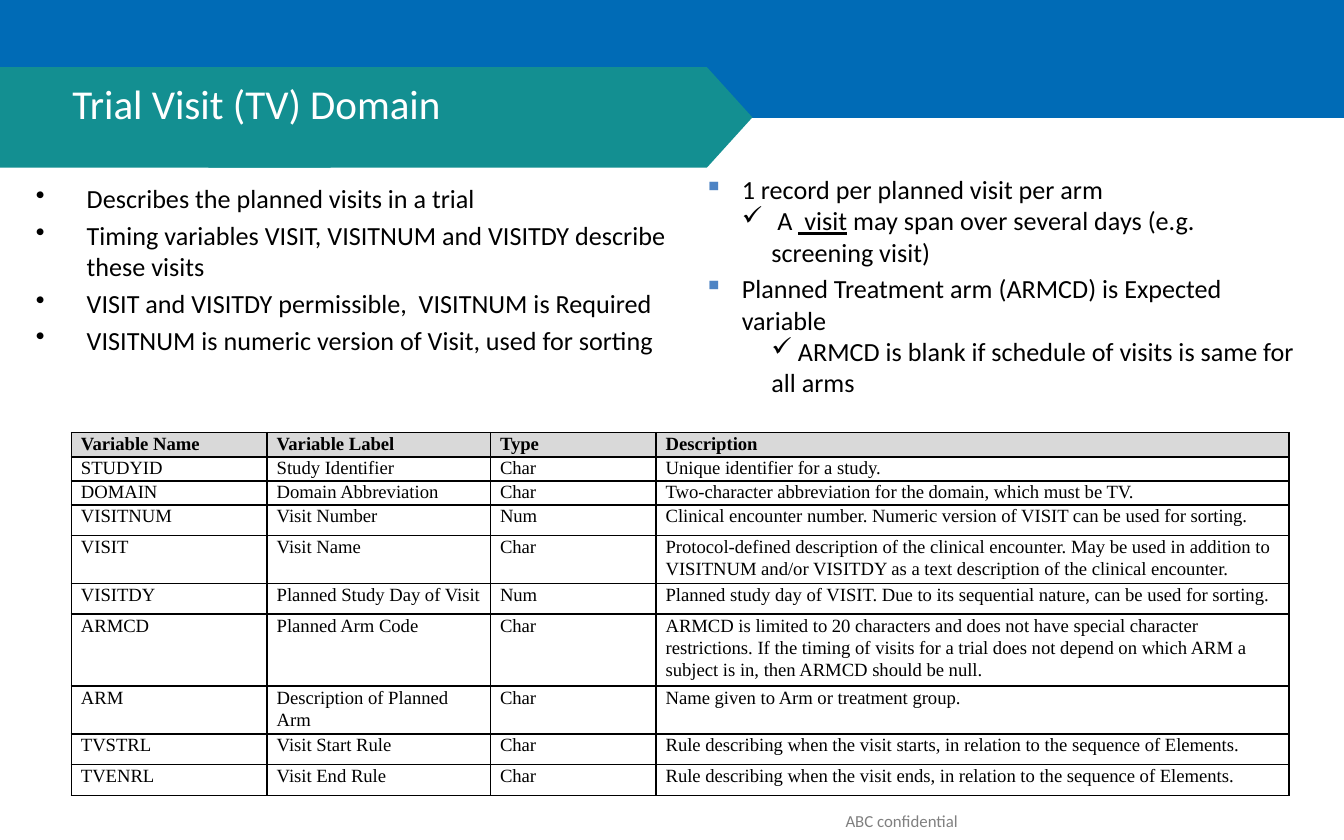
from lxml import etree
from pptx import Presentation
from pptx import util as u
from pptx.dml.color import RGBColor
from pptx.enum import shapes, text
from pptx.oxml import ns

BLUE = RGBColor(0x00, 0x6B, 0xB6)
TEAL = RGBColor(0x13, 0x8F, 0x91)
BULLET_BLUE = RGBColor(0x4E, 0x84, 0xC4)
HEADER_GREY = RGBColor(0xD9, 0xD9, 0xD9)
FOOTER_GREY = RGBColor(0x80, 0x80, 0x80)
WHITE = RGBColor(0xFF, 0xFF, 0xFF)
BLACK = RGBColor(0, 0, 0)

TITLE = {"name": "Calibri", "size": u.Pt(22), "color": WHITE}
BODY = {"name": "Calibri", "size": u.Pt(14), "color": BLACK}
FOOTER = {"name": "Calibri", "size": u.Pt(9), "color": FOOTER_GREY}
CELL = {"name": "Times New Roman", "size": u.Pt(10), "color": BLACK}

# Bullet styles: character, colour, left margin, first-line indent, space before
DOT = ("•", BLACK, 0.96, -0.96, 2.8)
SQUARE = ("▪", BULLET_BLUE, 0.71, -0.71, 2.8)
HANGING_TICK = ("✓", BLACK, 1.27, -0.56, 0)
INLINE_TICK = ("✓", BLACK, 1.27, 0, 0)

# Each paragraph: bullet style, then spans
VISIT_POINTS = [
    (DOT, ["Describes the planned visits in a trial"]),
    (DOT, ["Timing variables VISIT, VISITNUM and VISITDY describe these visits"]),
    (DOT, ["VISIT and VISITDY permissible,  VISITNUM is Required"]),
    (DOT, ["VISITNUM is numeric version of Visit, used for sorting"]),
]
UNDERLINED = " visit"
ARM_POINTS = [
    (SQUARE, ["1 record per planned visit per arm"]),
    (HANGING_TICK, [" A ", UNDERLINED, " may span over several days (e.g. screening visit)"]),
    (SQUARE, ["Planned Treatment arm (ARMCD) is Expected variable"]),
    (INLINE_TICK, [" ARMCD is blank if schedule of visits is same for all arms"]),
]

COLUMN_WIDTHS = [3.7, 4.22, 3.13, 11.96]
# Each row: height, then cell texts
VARIABLES = [
    (0.41, "Variable Name", "Variable Label", "Type", "Description"),
    (0.41, "STUDYID", "Study Identifier", "Char", "Unique identifier for a study."),
    (0.41, "DOMAIN", "Domain Abbreviation", "Char",
     "Two-character abbreviation for the domain, which must be TV."),
    (0.58, "VISITNUM", "Visit Number", "Num",
     "Clinical encounter number. Numeric version of VISIT can be used for sorting."),
    (0.89, "VISIT", "Visit Name", "Char",
     "Protocol-defined description of the clinical encounter. May be used in addition to "
     "VISITNUM and/or VISITDY as a text description of the clinical encounter."),
    (0.58, "VISITDY", "Planned Study Day of Visit", "Num",
     "Planned study day of VISIT. Due to its sequential nature, can be used for sorting."),
    (1.24, "ARMCD", "Planned Arm Code", "Char",
     "ARMCD is limited to 20 characters and does not have special character restrictions. "
     "If the timing of visits for a trial does not depend on which ARM a subject is in, "
     "then ARMCD should be null."),
    (0.83, "ARM", "Description of Planned Arm", "Char", "Name given to Arm or treatment group."),
    (0.58, "TVSTRL", "Visit Start Rule", "Char",
     "Rule describing when the visit starts, in relation to the sequence of Elements."),
    (0.58, "TVENRL", "Visit End Rule", "Char",
     "Rule describing when the visit ends, in relation to the sequence of Elements."),
]


def add_span(para, words, style, **extra):
    span = para.add_run()
    span.text = words
    for key, value in {**style, **extra}.items():
        if key == "color":
            span.font.color.rgb = value
        else:
            setattr(span.font, key, value)


def paint(shape, color):
    shape.shadow.inherit = False
    shape.fill.solid()
    shape.fill.fore_color.rgb = color
    shape.line.fill.background()


def add_band(page, left, top, width, height, color):
    band = page.shapes.add_shape(shapes.MSO_SHAPE.RECTANGLE,
                                 *map(u.Cm, (left, top, width, height)))
    paint(band, color)


def add_arrow_band(page, points, color):
    start, *rest = [(u.Cm(x), u.Cm(y)) for x, y in points]
    builder = page.shapes.build_freeform(*start)
    builder.add_line_segments(rest, close=True)
    paint(builder.convert_to_shape(), color)


def add_box(page, left, top, width, height):
    """Add an empty wrapping text box and return its text frame."""
    frame = page.shapes.add_textbox(*map(u.Cm, (left, top, width, height))).text_frame
    frame.word_wrap = True
    frame.vertical_anchor = text.MSO_ANCHOR.TOP
    return frame


def set_bullet(para, mark, color, margin, indent):
    properties = para._p.get_or_add_pPr()
    properties.set("marL", str(u.Cm(margin)))
    properties.set("indent", str(u.Cm(indent)))
    tint = etree.SubElement(properties, ns.qn("a:buClr"))
    etree.SubElement(tint, ns.qn("a:srgbClr"), val=str(color))
    etree.SubElement(properties, ns.qn("a:buChar"), char=mark)


def fill_bullets(frame, points):
    for index, (bullet, spans) in enumerate(points):
        para = frame.add_paragraph() if index else frame.paragraphs[0]
        *look, gap = bullet
        set_bullet(para, *look)
        para.space_before = u.Pt(gap if index else 0)
        for words in spans:
            add_span(para, words, BODY, underline=words == UNDERLINED)


def set_borders(cell):
    properties = cell._tc.get_or_add_tcPr()
    for side in ("lnL", "lnR", "lnT", "lnB"):
        line = etree.SubElement(properties, ns.qn("a:" + side), w=str(u.Pt(1)))
        fill = etree.SubElement(line, ns.qn("a:solidFill"))
        etree.SubElement(fill, ns.qn("a:srgbClr"), val=str(BLACK))


def fill_cell(cell, words, header):
    margins = {"margin_left": 0.18, "margin_right": 0.18, "margin_top": 0, "margin_bottom": 0}
    for key, value in margins.items():
        setattr(cell, key, u.Cm(value))
    set_borders(cell)
    if header:
        cell.fill.solid()
        cell.fill.fore_color.rgb = HEADER_GREY
    else:
        cell.fill.background()
    para = cell.text_frame.paragraphs[0]
    para.line_spacing = 1.07
    add_span(para, words, CELL, bold=header)


def add_variable_table(page, left, top):
    size = sum(COLUMN_WIDTHS), sum(row[0] for row in VARIABLES)
    table = page.shapes.add_table(len(VARIABLES), len(COLUMN_WIDTHS),
                                  *map(u.Cm, (left, top, *size))).table
    table.first_row = table.horz_banding = False
    for column, width in zip(table.columns, COLUMN_WIDTHS):
        column.width = u.Cm(width)
    for index, (height, *words) in enumerate(VARIABLES):
        table.rows[index].height = u.Cm(height)
        for cell, content in zip(table.rows[index].cells, words):
            fill_cell(cell, content, header=index == 0)


def main():
    deck = Presentation()
    deck.slide_width, deck.slide_height = u.Cm(25.4), u.Cm(15.88)
    page = deck.slides.add_slide(deck.slide_layouts[6])

    add_band(page, 0, 0, 25.4, 2.23, BLUE)
    add_band(page, 0, 1.27, 6.25, 1.9, TEAL)
    add_arrow_band(page, [(13.36, 1.27), (14.22, 2.22), (13.36, 3.17),
                          (3.94, 3.17), (3.94, 1.27)], TEAL)

    title = add_box(page, 1.12, 1.35, 8.94, 1.5)
    add_span(title.paragraphs[0], "Trial Visit (TV) Domain", TITLE)
    fill_bullets(add_box(page, 0.43, 3.33, 12.65, 3.38), VISIT_POINTS)
    add_variable_table(page, 1.35, 8.18)
    fill_bullets(add_box(page, 13.06, 3.15, 11.71, 4.57), ARM_POINTS)

    footer = add_box(page, 13.13, 15.21, 7.82, 0.53).paragraphs[0]
    footer.alignment = text.PP_ALIGN.CENTER
    add_span(footer, "ABC confidential", FOOTER)

    deck.save("out.pptx")


if __name__ == "__main__":
    main()
